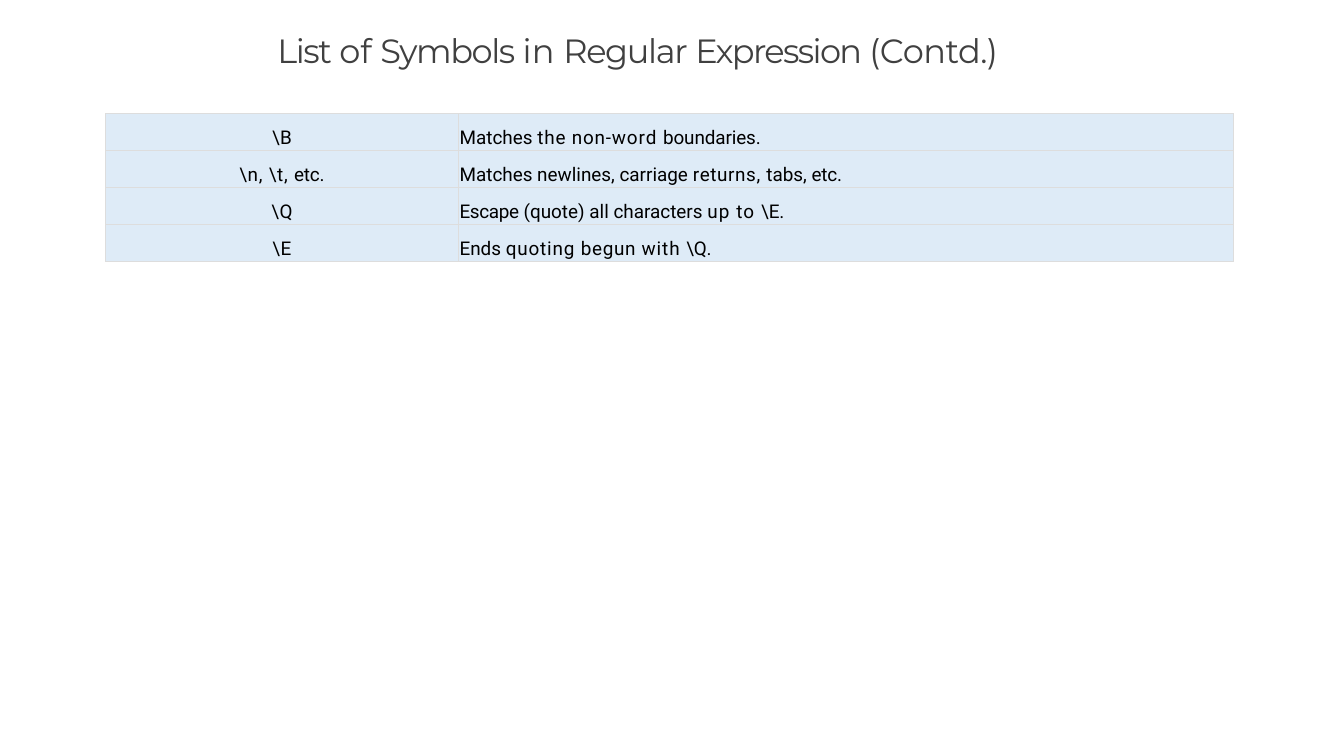
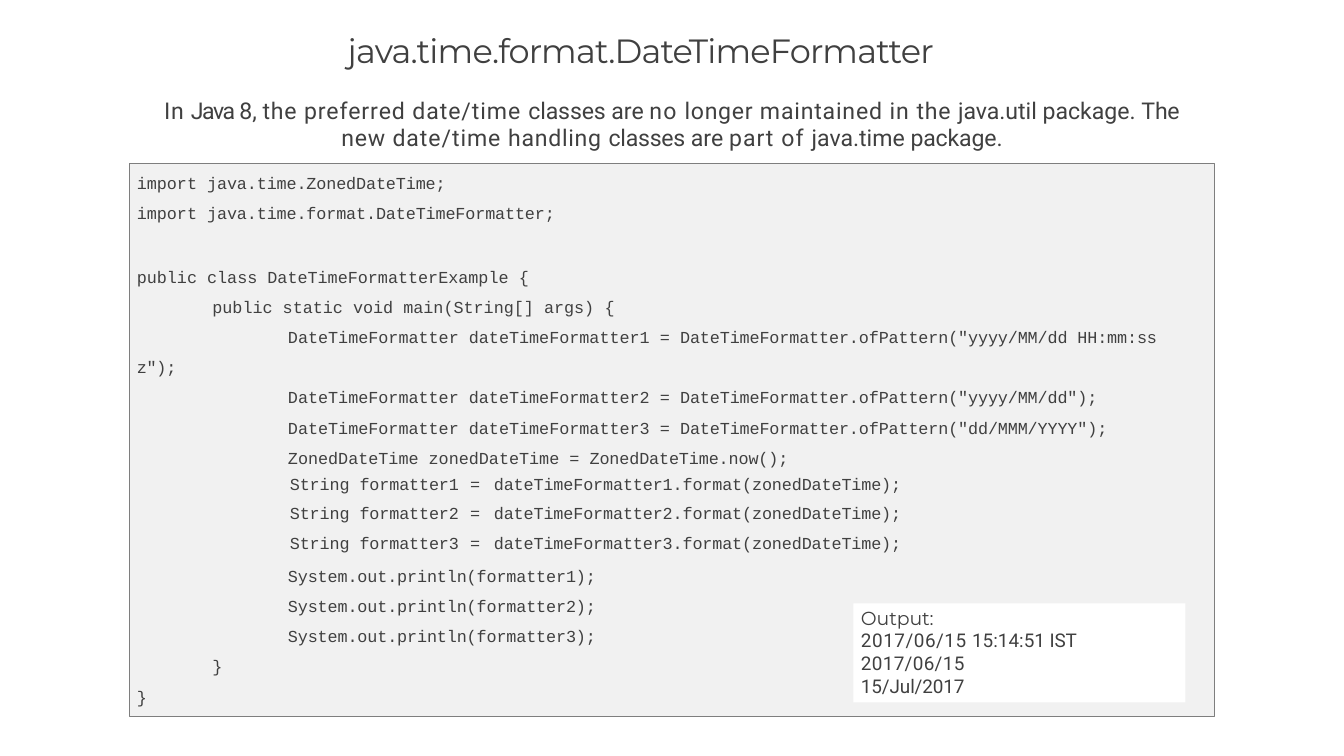
from dataclasses import dataclass, replace
from typing import Optional

from lxml.etree import SubElement
from pptx import Presentation
from pptx.dml.color import RGBColor
from pptx.enum.shapes import MSO_SHAPE as Preset
from pptx.enum.text import MSO_ANCHOR as Anchor, MSO_AUTO_SIZE as AutoSize, PP_ALIGN as Align
from pptx.oxml.ns import qn
from pptx.util import Pt

PX = 9144
TITLE_ONLY, TITLE_AND_BODY = 5, 1

BLACK = RGBColor(0x00, 0x00, 0x00)
WHITE = RGBColor(0xFF, 0xFF, 0xFF)
INK = RGBColor(0x40, 0x40, 0x40)
SYMBOL_FILL = RGBColor(0xDE, 0xEB, 0xF7)
SYMBOL_GRID = RGBColor(0xDD, 0xDD, 0xDD)
CODE_FILL = RGBColor(0xF1, 0xF1, 0xF1)
CODE_EDGE = RGBColor(0x7E, 0x7E, 0x7E)


@dataclass(frozen=True)
class Face:
    """A font, its size in points and its colour."""
    font: str
    size: int
    color: RGBColor = INK


TITLE = Face("Montserrat", 32)
SYMBOL = Face("Roboto", 18, BLACK)
INTRO = Face("Roboto", 22)
CODE = Face("Courier New", 16)
OUTPUT_HEAD = Face("Montserrat", 18)
OUTPUT = Face("Roboto", 18)


@dataclass(frozen=True)
class Line:
    """A paragraph: runs of (text, letter spacing) and its layout."""
    face: Face
    runs: list
    indent: int = 0
    before: float = 0
    align: Align = Align.LEFT
    spacing: object = 1.0


class Slides:
    """Holds the deck and the current page, and draws each kind of element."""

    def __init__(self, width, height):
        self.deck = Presentation()
        self.deck.slide_width, self.deck.slide_height = width * PX, height * PX
        self.page = None

    def add_page(self, layout, title_runs, title_indent):
        self.page = self.deck.slides.add_slide(self.deck.slide_layouts[layout])
        self.placeholder(0, (335, 38, 1109, 65), [Line(TITLE, title_runs, title_indent)])

    def add_lines(self, frame, lines):
        for number, line in enumerate(lines):
            para = frame.add_paragraph() if number else frame.paragraphs[0]
            props = para._p.get_or_add_pPr()
            props.set("marL", str(line.indent * PX))
            props.set("indent", "0")
            SubElement(props, qn("a:buNone"))
            para.alignment = line.align
            para.line_spacing = line.spacing
            para.space_before = Pt(line.before)
            for text, tracking in line.runs:
                span = para.add_run()
                span.text = text
                span.font.name = line.face.font
                span.font.size = Pt(line.face.size)
                span.font.color.rgb = line.face.color
                span._r.get_or_add_rPr().set("spc", str(round(tracking * 100)))

    def fill_box(self, box, lines, top=1):
        frame = box.text_frame
        frame.word_wrap = True
        frame.auto_size = AutoSize.NONE
        frame.vertical_anchor = Anchor.TOP
        frame.margin_left = frame.margin_right = frame.margin_bottom = 0
        frame.margin_top = top * PX
        self.add_lines(frame, lines)

    def placeholder(self, index, place, lines):
        box = self.page.placeholders[index]
        box.left, box.top, box.width, box.height = (length * PX for length in place)
        self.fill_box(box, lines)

    def text(self, place, lines):
        self.fill_box(self.page.shapes.add_textbox(*(length * PX for length in place)), lines)

    def panel(self, place, fill, edge=None):
        box = self.page.shapes.add_shape(Preset.RECTANGLE, *(length * PX for length in place))
        box.shadow.inherit = False
        box.fill.solid()
        box.fill.fore_color.rgb = fill
        if edge is None:
            box.line.fill.background()
        else:
            box.line.color.rgb = edge
            box.line.width = Pt(0.72)
        return box

    def border(self, cell, color):
        props = cell._tc.get_or_add_tcPr()
        for side in ("a:lnL", "a:lnR", "a:lnT", "a:lnB"):
            edge = SubElement(props, qn(side), w=str(Pt(0.75)))
            if color is None:
                SubElement(edge, qn("a:noFill"))
            else:
                SubElement(SubElement(edge, qn("a:solidFill")), qn("a:srgbClr"), val=str(color))

    def table(self, left, top, widths, rows, fill, grid: Optional[RGBColor] = None):
        height = sum(row[0] for row in rows)
        table = self.page.shapes.add_table(
            len(rows), len(widths), left * PX, top * PX, sum(widths) * PX, height * PX).table
        table.first_row = table.horz_banding = False
        for column, width in zip(table.columns, widths):
            column.width = width * PX
        for row, (row_height, inset, lines) in zip(table.rows, rows):
            row.height = row_height * PX
            for cell, line in zip(row.cells, lines):
                self.border(cell, grid)
                cell.fill.solid()
                cell.fill.fore_color.rgb = fill
                cell.margin_left = cell.margin_right = cell.margin_bottom = 0
                cell.margin_top = inset * PX
                self.add_lines(cell.text_frame, [line])


def code(indent, *runs, before=9.6):
    """Return one line of code, indented by whole levels."""
    return Line(CODE, runs, 1 + 100 * indent, before)


def symbols_page(slides):
    """Draw the table of regular expression symbols."""
    slides.add_page(TITLE_ONLY, [
        ("List ", -1.4), ("of ", -0.1), ("Symbols ", -1.4), ("in ", 0),
        ("Regular ", -1.3), ("Expression ", -1.6), ("(Contd.)", -0.5)], 32)
    meanings = [
        ([(r"\B", 0.3)],
         [("Matches ", 0), ("the ", 0.8), ("non-", 0.7), ("word ", 0.9), ("boundaries.", -0.1)]),
        ([(r"\n, \t, ", 0.7), ("etc.", -0.2)],
         [("Matches newlines, carriage ", 0), ("returns, ", 0.6), ("tabs, ", 0), ("etc.", -0.2)]),
        ([(r"\Q", 0.5)],
         [("Escape ", -0.3), ("(quote) all characters ", 0), ("up ", 1), ("to ", 1.1),
          (r"\E.", -0.2)]),
        ([(r"\E", 0.5)],
         [("Ends ", 0), ("quoting ", 0.8), ("begun ", 0.6), ("with ", 0.9), (r"\Q.", -0.2)]),
    ]
    rows = [(49, 18, [Line(SYMBOL, symbol, align=Align.CENTER, spacing=Pt(20.7)),
                      Line(SYMBOL, meaning, 2, spacing=Pt(20.7))])
            for symbol, meaning in meanings]
    slides.table(140, 150, [466, 1026], rows, SYMBOL_FILL, SYMBOL_GRID)


def formatter_page(slides):
    """Draw the date formatter code with its output."""
    slides.add_page(TITLE_AND_BODY, [("java.time.format.DateTimeFormatter", -0.8)], 125)
    pane = slides.panel((171, 216, 1436, 732), CODE_FILL, CODE_EDGE)
    slides.page.shapes.title.element.addprevious(pane.element)

    intro = [
        [("In ", 0.6), ("Java ", -1.4), ("8, ", 0), ("the ", 0.8), ("preferred date/time ", 0.9),
         ("classes ", -0.1), ("are ", 0), ("no ", 1.1), ("longer ", 0.7), ("maintained ", 0.8),
         ("in ", 0.9), ("the ", 0.8), ("java.util package. ", 0), ("The", -0.2)],
        [("new ", 0.8), ("date/time ", 0.9), ("handling ", 0.7), ("classes ", -0.2), ("are ", 0),
         ("part ", 1), ("of ", 1.1), ("java.time ", 0), ("package.", -0.1)],
    ]
    slides.placeholder(1, (180, 126, 1386, 491), [
        *(Line(INTRO, runs, 32, align=Align.CENTER) for runs in intro),
        code(0, ("import ", 0), ("java.time.ZonedDateTime;", -0.1), before=20.4),
        code(0, ("import ", 0), ("java.time.format.DateTimeFormatter;", -0.1)),
        code(0, ("public class DateTimeFormatterExample ", 0), ("{", -0.5), before=41),
        code(1, ("public static void main(String[] args) ", 0), ("{", -0.5)),
        code(2, ("DateTimeFormatter dateTimeFormatter1 = ", 0),
             ('DateTimeFormatter.ofPattern("yyyy/MM/dd HH:mm:ss', -0.1)),
        code(0, ('z");', -0.2)),
        code(2, ("DateTimeFormatter dateTimeFormatter2 = ", 0),
             ('DateTimeFormatter.ofPattern("yyyy/MM/dd");', -0.1)),
        code(2, ("DateTimeFormatter dateTimeFormatter3 = ", 0),
             ('DateTimeFormatter.ofPattern("dd/MMM/YYYY");', -0.1)),
        code(2, ("ZonedDateTime zonedDateTime = ", 0), ("ZonedDateTime.now();", -0.1)),
    ])

    rows = []
    for number, (height, inset, spacing) in enumerate(
            [(33, 0, Pt(16.5)), (40, 4, 1.0), (33, 4, 1.0)], 1):
        word = Line(CODE, [("String", -0.1)], align=Align.CENTER, spacing=spacing)
        call = f"dateTimeFormatter{number}.format(zonedDateTime);"
        rows.append((height, inset, [
            word,
            replace(word, runs=[(f"formatter{number}", -0.1)]),
            replace(word, runs=[("=", -0.5)]),
            replace(word, runs=[(call, -0.1)], indent=3)]))
    slides.table(378, 632, [90, 147, 27, 559], rows, CODE_FILL)

    slides.text((380, 734, 417, 123), [
        Line(CODE, [(f"System.out.println(formatter{number});", -0.1)], 1, spacing=1.5)
        for number in (1, 2, 3)])
    for left, top in ((280, 867), (180, 907)):
        slides.text((left, top, 16, 29), [code(0, ("}", -0.5), before=0)])

    output = slides.panel((1129, 798, 439, 131), WHITE)
    slides.fill_box(output, [
        Line(OUTPUT_HEAD, [("Output:", -0.1)], 10),
        Line(OUTPUT, [("2017/06/15 ", 0.5), ("15:14:51 ", 0), ("IST", -0.2)], 10),
        Line(OUTPUT, [("2017/06/15", 0.3)], 10),
        Line(OUTPUT, [("15/Jul/2017", -0.1)], 10),
    ], top=4)


def main():
    """Build both slides and save the deck."""
    slides = Slides(1778, 1000)
    symbols_page(slides)
    formatter_page(slides)
    slides.deck.save("out.pptx")


if __name__ == "__main__":
    main()
